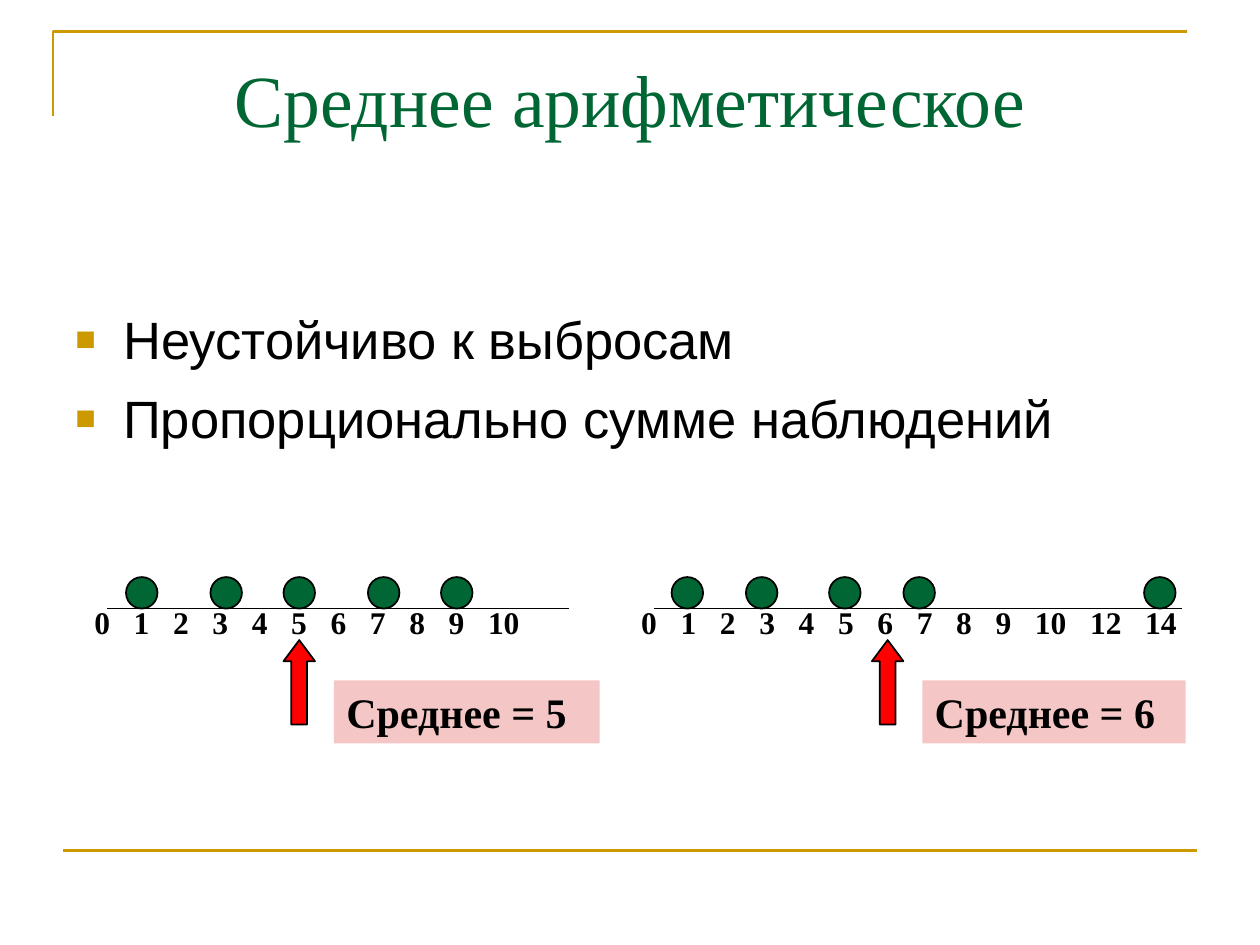
from dataclasses import dataclass

from lxml.etree import SubElement
from pptx import Presentation
from pptx.dml.color import RGBColor
from pptx.enum.shapes import MSO_CONNECTOR, MSO_SHAPE
from pptx.enum.text import MSO_ANCHOR, PP_ALIGN
from pptx.oxml.ns import qn
from pptx.util import Inches, Pt


@dataclass(frozen=True)
class Theme:
    green: RGBColor = RGBColor(0x00, 0x66, 0x33)
    gold: RGBColor = RGBColor(0xCC, 0x99, 0x00)
    red: RGBColor = RGBColor(0xFF, 0x00, 0x00)
    pink: RGBColor = RGBColor(0xF4, 0xC7, 0xC6)
    black: RGBColor = RGBColor(0x00, 0x00, 0x00)
    serif: str = "Times New Roman"
    sans: str = "Arial"
    title_size: int = 42
    body_size: int = 30
    note_size: int = 24
    scale_size: int = 18


THEME = Theme()

PLOTS = [
    {"axis": (0.85, 4.52), "scale_box": (4.36, 0.4),
     "scale": list(range(11)),
     "dots": [1, 1.67, 2.25, 2.92, 3.5],
     "mean_left": 2.25, "note": "Среднее = 5", "note_width": 2.11},
    {"axis": (5.19, 9.38), "scale_box": (4.69, 0.7),
     "scale": [*range(11), 12, 14],
     "dots": [5.33, 5.92, 6.58, 7.17, 9.08],
     "mean_left": 6.92, "note": "Среднее = 6", "note_width": 2.09},
]
AXIS_TOP = 4.83
DOT_SIZE = 0.25
ARROW_LENGTH = 0.67


def inches(*lengths):
    return [Inches(length) for length in lengths]


def set_format(target, values):
    for name, value in values.items():
        setattr(target, name, value)


def write(para, text, size, font=THEME.serif, color=THEME.black, bold=False):
    span = para.add_run()
    span.text = text
    set_format(span.font, {"name": font, "size": Pt(size), "bold": bold})
    span.font.color.rgb = color


def add_line(slide, start, end, color, width):
    line = slide.shapes.add_connector(
        MSO_CONNECTOR.STRAIGHT, *inches(*start, *end))
    line.line.color.rgb = color
    line.line.width = Pt(width)
    SubElement(line._element.spPr, qn("a:effectLst"))


def add_figure(slide, preset, place, fill, outlined=True):
    figure = slide.shapes.add_shape(preset, *inches(*place))
    figure.shadow.inherit = False
    figure.fill.solid()
    figure.fill.fore_color.rgb = fill
    if outlined:
        figure.line.color.rgb = THEME.black
        figure.line.width = Pt(1)
    else:
        figure.line.fill.background()
    return figure


def add_text_box(slide, place):
    box = slide.shapes.add_textbox(*inches(*place))
    box.text_frame.word_wrap = True
    return box.text_frame


def add_frame(slide):
    """Draw the gold corner at the top and the gold rule at the bottom."""
    builder = slide.shapes.build_freeform(*inches(0.42, 0.92))
    builder.add_line_segments(
        [inches(0.42, 0.25), inches(9.42, 0.25)], close=False)
    corner = builder.convert_to_shape()
    corner.shadow.inherit = False
    corner.fill.background()
    corner.line.color.rgb = THEME.gold
    corner.line.width = Pt(1.5)
    add_line(slide, (0.5, 6.75), (9.5, 6.75), THEME.gold, 1.5)


def add_title(slide, text):
    title = slide.shapes.title
    left, top, width, height = inches(0.5, 0.3, 9, 1.25)
    set_format(title, {"left": left, "top": top,
                       "width": width, "height": height})
    set_format(title.text_frame, {"vertical_anchor": MSO_ANCHOR.TOP,
                                  "margin_top": Inches(0.13)})
    para = title.text_frame.paragraphs[0]
    para.alignment = PP_ALIGN.CENTER
    write(para, text, THEME.title_size, color=THEME.green)


def set_bullet(para):
    properties = para._p.get_or_add_pPr()
    indent = Inches(0.38)
    properties.set("marL", str(indent))
    properties.set("indent", str(-indent))
    color = SubElement(properties, qn("a:buClr"))
    SubElement(color, qn("a:srgbClr"), val=str(THEME.gold))
    SubElement(properties, qn("a:buSzPct"), val="65000")
    SubElement(properties, qn("a:buFont"), typeface=THEME.sans)
    SubElement(properties, qn("a:buChar"), char="■")


def add_bullets(slide, lines):
    frame = add_text_box(slide, (0.5, 1.75, 9, 4.95))
    frame.margin_top = Inches(0.69)
    for index, line in enumerate(lines):
        para = frame.add_paragraph() if index else frame.paragraphs[0]
        if index:
            para.space_before = Pt(9)
        set_bullet(para)
        write(para, line, THEME.body_size, THEME.sans)


def add_scale(slide, place, values):
    """Write the axis values, with equal gaps between them by tab stops."""
    digit_width, gap = 0.125, 0.1875
    para = add_text_box(slide, place).paragraphs[0]
    labels = [str(value) for value in values]
    stops = SubElement(para._p.get_or_add_pPr(), qn("a:tabLst"))
    position = 0
    for label in labels[:-1]:
        position += len(label) * digit_width + gap
        SubElement(stops, qn("a:tab"), pos=str(Inches(position)), algn="l")
    write(para, "\t".join(labels), THEME.scale_size, bold=True)


def add_mean_arrow(slide, left):
    side = (ARROW_LENGTH - DOT_SIZE) / 2
    arrow = add_figure(slide, MSO_SHAPE.RIGHT_ARROW,
                       (left - side, 5.29, ARROW_LENGTH, DOT_SIZE), THEME.red)
    arrow.rotation = 270
    arrow.adjustments[0] = 0.5
    arrow.adjustments[1] = 0.67


def add_note(slide, place, text):
    note = add_figure(slide, MSO_SHAPE.RECTANGLE, place, THEME.pink, False)
    set_format(note.text_frame, {"word_wrap": True,
                                 "vertical_anchor": MSO_ANCHOR.MIDDLE})
    para = note.text_frame.paragraphs[0]
    para.alignment = PP_ALIGN.LEFT
    write(para, text, THEME.note_size, bold=True)


def add_dot_plot(slide, plot):
    start, end = plot["axis"]
    add_line(slide, (start, AXIS_TOP), (end, AXIS_TOP), THEME.black, 1)
    add_scale(slide, (start - 0.2, 4.74, *plot["scale_box"]), plot["scale"])
    for left in plot["dots"]:
        add_figure(slide, MSO_SHAPE.OVAL,
                   (left, AXIS_TOP - DOT_SIZE, DOT_SIZE, DOT_SIZE),
                   THEME.green)
    add_mean_arrow(slide, plot["mean_left"])
    add_note(slide, (plot["mean_left"] + 0.4, 5.4, plot["note_width"], 0.5),
             plot["note"])


def main():
    deck = Presentation()
    deck.slide_width, deck.slide_height = inches(10, 7.5)
    slide = deck.slides.add_slide(deck.slide_layouts.get_by_name("Title Only"))
    add_frame(slide)
    add_title(slide, "Среднее арифметическое")
    add_bullets(slide, ["Неустойчиво к выбросам",
                        "Пропорционально сумме наблюдений"])
    for plot in PLOTS:
        add_dot_plot(slide, plot)
    deck.save("out.pptx")


if __name__ == "__main__":
    main()
